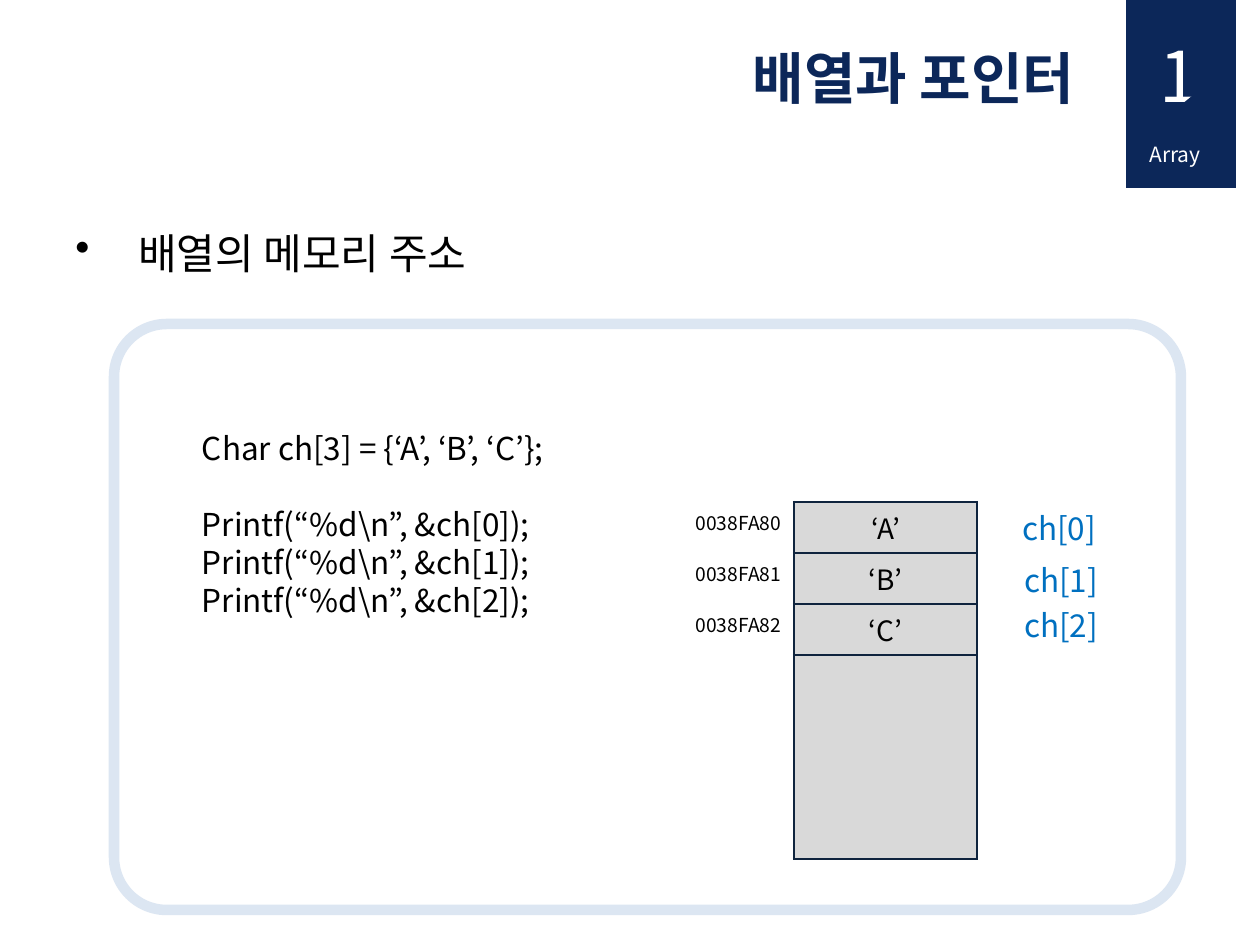
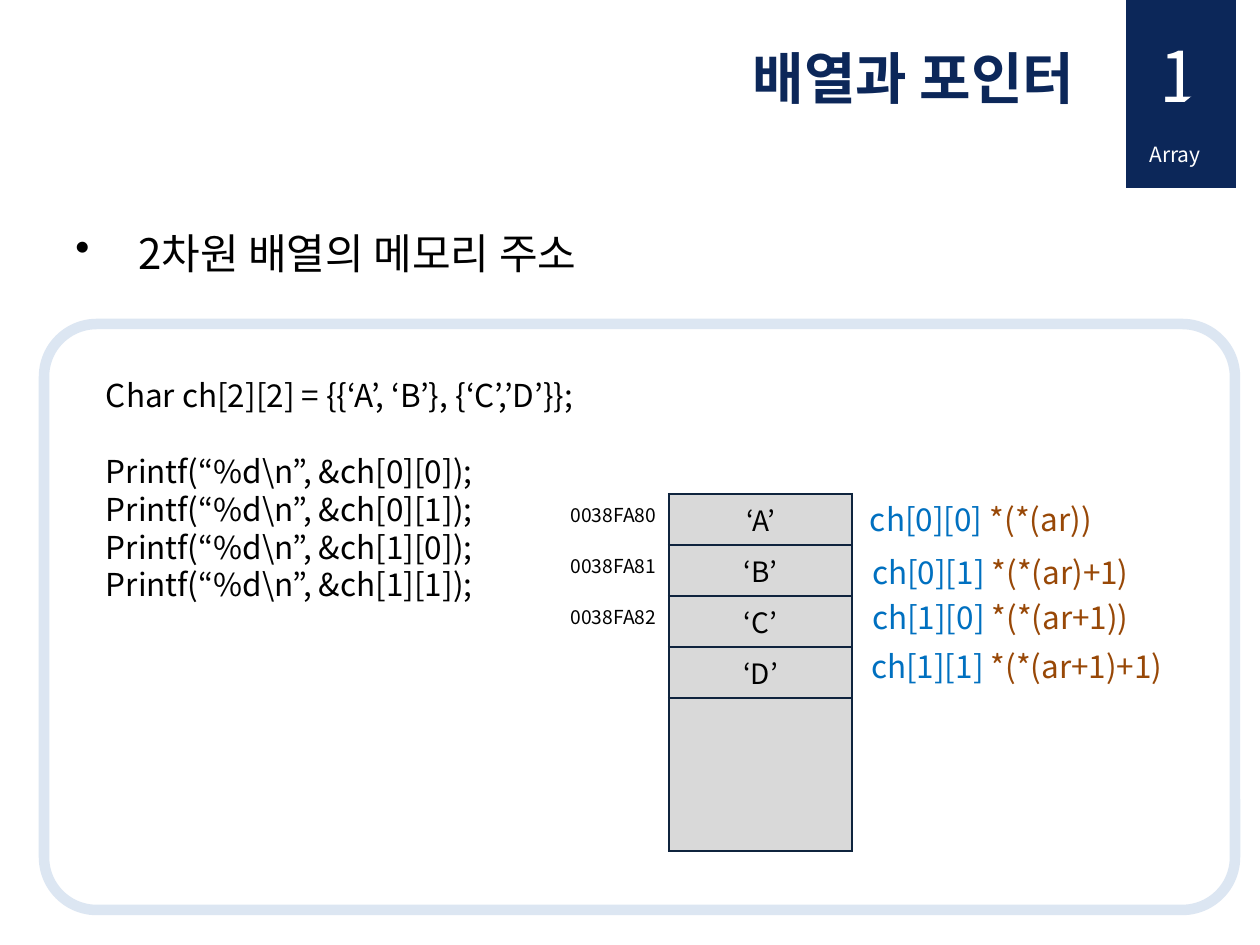
import pptx
import pptx.util
import pptx.dml.color
import pptx.enum.shapes
import pptx.enum.text
import pptx.oxml.ns
import lxml.etree

RGBColor = pptx.dml.color.RGBColor
NAVY = RGBColor(0x0C, 0x27, 0x59)
WHITE = RGBColor(0xFF, 0xFF, 0xFF)
BLACK = RGBColor(0x00, 0x00, 0x00)
BLUE = RGBColor(0x00, 0x70, 0xC0)
BROWN = RGBColor(0x98, 0x48, 0x07)
GREY = RGBColor(0xD9, 0xD9, 0xD9)
PALE = RGBColor(0xDC, 0xE6, 0xF2)
RULE = RGBColor(0x0F, 0x24, 0x3E)

FONT = "Noto Sans CJK KR"
PX_PER_INCH = 126
MEMORY_ROWS = 8
ROW_HEIGHT = 51
COLUMN_WIDTH = 183
ADDRESSES = ["0038FA80", "0038FA81", "0038FA82"]

Shape = pptx.enum.shapes.MSO_SHAPE
Align = pptx.enum.text.PP_ALIGN
Anchor = pptx.enum.text.MSO_ANCHOR
qn = pptx.oxml.ns.qn


def px(length):
    return pptx.util.Emu(round(length * 914400 / PX_PER_INCH))


def place(*lengths):
    return [px(length) for length in lengths]


def style_span(span, size, color, bold=False):
    span.font.size = pptx.util.Pt(size)
    span.font.bold = bold
    span.font.color.rgb = color
    span.font.name = FONT
    east_asian = lxml.etree.SubElement(span.font._element, qn("a:ea"))
    east_asian.set("typeface", FONT)


def style_para(para, size, color, bold=False):
    para.line_spacing = 1.0
    for span in para.runs:
        style_span(span, size, color, bold)


def add_text(shapes, at, text, size, color, margin_left=None):
    box = shapes.add_textbox(*place(*at))
    frame = box.text_frame
    frame.word_wrap = True
    frame.text = text
    if margin_left:
        frame.margin_left = px(margin_left)
    style_para(frame.paragraphs[0], size, color)
    return box


def add_block(shapes, kind, at, fill=None):
    block = shapes.add_shape(kind, *place(*at))
    block.shadow.inherit = False
    block.line.fill.background()
    if fill is None:
        block.fill.background()
    else:
        block.fill.solid()
        block.fill.fore_color.rgb = fill
    return block


def add_title(page, text):
    title = page.shapes.title
    title.left, title.top, title.width, title.height = place(740, 37, 387, 81)
    frame = title.text_frame
    frame.text = text
    frame.auto_size = pptx.enum.text.MSO_AUTO_SIZE.NONE
    frame.vertical_anchor = Anchor.TOP
    para = frame.paragraphs[0]
    para.alignment = Align.LEFT
    style_para(para, 32, NAVY, True)


def add_chapter_tab(page, number, name):
    add_block(page.shapes, Shape.RECTANGLE, (1126, 0, 110, 188), NAVY)
    add_text(page.shapes, (1137, 135, 99, 38), name, 12, WHITE)
    emblem = page.shapes.add_group_shape()
    add_text(emblem.shapes, (1147, 26, 79, 97), number, 40, WHITE)
    corner = add_block(emblem.shapes, Shape.ISOSCELES_TRIANGLE, (1157, 76, 59, 49), NAVY)
    corner.adjustments[0] = 1


def add_heading(page, text):
    box = add_text(page.shapes, (63, 221, 1134, 73), text, 24, BLACK)
    properties = box.text_frame.paragraphs[0]._p.get_or_add_pPr()
    properties.set("marL", str(px(63)))
    properties.set("indent", str(px(-63)))
    bullet = lxml.etree.SubElement(properties, qn("a:buChar"))
    bullet.set("char", "•")


def add_panel(page, left, width):
    panel = add_block(page.shapes, Shape.ROUNDED_RECTANGLE, (left, 324, width, 586))
    panel.adjustments[0] = 0.09
    panel.line.color.rgb = PALE
    panel.line.width = pptx.util.Pt(6)


def add_code(page, at, declaration, statements):
    box = add_text(page.shapes, at, declaration, 18, BLACK, 68)
    frame = box.text_frame
    for statement in statements:
        para = frame.add_paragraph()
        para.text = statement
        style_para(para, 18, BLACK)
    frame.paragraphs[1].space_before = pptx.util.Pt(21.7)


def rule_cell(cell, ruled_edges):
    properties = cell._tc.get_or_add_tcPr()
    for edge in "LRTB":
        line = lxml.etree.SubElement(properties, qn(f"a:ln{edge}"))
        if edge in ruled_edges:
            line.set("w", str(pptx.util.Pt(1.5)))
            fill = lxml.etree.SubElement(line, qn("a:solidFill"))
            lxml.etree.SubElement(fill, qn("a:srgbClr")).set("val", str(RULE))
        else:
            lxml.etree.SubElement(line, qn("a:noFill"))


def fill_cell(cell, text, size, alignment):
    cell.text = text
    para = cell.text_frame.paragraphs[0]
    para.alignment = alignment
    style_para(para, size, BLACK)


def add_memory(page, left, top, values):
    frame = page.shapes.add_table(
        MEMORY_ROWS, 2, *place(left, top, 2 * COLUMN_WIDTH, MEMORY_ROWS * ROW_HEIGHT))
    table = frame.table
    table.first_row = False
    table.horz_banding = False
    for column in table.columns:
        column.width = px(COLUMN_WIDTH)
    for row in table.rows:
        row.height = px(ROW_HEIGHT)
    for cell in table.iter_cells():
        cell.margin_top = cell.margin_bottom = 0
    for index in range(MEMORY_ROWS):
        address, value = table.cell(index, 0), table.cell(index, 1)
        rule_cell(address, "R" if index else "")
        rule_cell(value, "LRTB" if index else "B")
        address.fill.background()
        if index:
            value.fill.solid()
            value.fill.fore_color.rgb = GREY
        else:
            value.fill.background()
    for index, text in enumerate(ADDRESSES, 1):
        address = table.cell(index, 0)
        address.margin_top = px(6)
        fill_cell(address, text, 11, Align.RIGHT)
    for index, text in enumerate(values, 1):
        value = table.cell(index, 1)
        value.vertical_anchor = Anchor.MIDDLE
        fill_cell(value, text, 16, Align.CENTER)
    table.cell(len(values) + 1, 1).merge(table.cell(MEMORY_ROWS - 1, 1))


def add_label(page, left, top, width, element, pointer=""):
    box = add_text(page.shapes, (left, top, width, 50), element, 18, BLUE, 48)
    if pointer:
        span = box.text_frame.paragraphs[0].add_run()
        span.text = f" {pointer}"
        style_span(span, 18, BROWN)


def start_page(deck, heading):
    page = deck.slides.add_slide(deck.slide_layouts[5])
    add_title(page, "배열과 포인터")
    add_chapter_tab(page, "1", "Array")
    add_heading(page, heading)
    return page


def print_calls(elements):
    return [f"Printf(“%d\\n”, &{element});" for element in elements]


def add_array_page(deck):
    page = start_page(deck, "배열의 메모리 주소")
    elements = ["ch[0]", "ch[1]", "ch[2]"]
    add_panel(page, 114, 1067)
    add_memory(page, 611, 451, ["‘A’", "‘B’", "‘C’"])
    for element, left, top in zip(elements, (974, 976, 976), (503, 555, 600)):
        add_label(page, left, top, 169, element)
    add_code(page, (134, 423, 556, 271), "Char ch[3] = {‘A’, ‘B’, ‘C’};", print_calls(elements))


def add_matrix_page(deck):
    page = start_page(deck, "2차원 배열의 메모리 주소")
    pointers = {
        "ch[0][0]": "*(*(ar))",
        "ch[0][1]": "*(*(ar)+1)",
        "ch[1][0]": "*(*(ar+1))",
        "ch[1][1]": "*(*(ar+1)+1)",
    }
    add_panel(page, 44, 1191)
    add_memory(page, 486, 443, ["‘A’", "‘B’", "‘C’", "‘D’"])
    for (element, pointer), left, top in zip(
            pointers.items(), (822, 824, 824, 823), (494, 547, 592, 641)):
        add_label(page, left, top, 434, element, pointer)
    add_code(page, (38, 370, 655, 348), "Char ch[2][2] = {{‘A’, ‘B’}, {‘C’,’D’}};",
             print_calls(pointers))


def main():
    deck = pptx.Presentation()
    deck.slide_width = pptx.util.Inches(10)
    deck.slide_height = pptx.util.Inches(7.5)
    add_array_page(deck)
    add_matrix_page(deck)
    deck.save("out.pptx")


if __name__ == "__main__":
    main()
